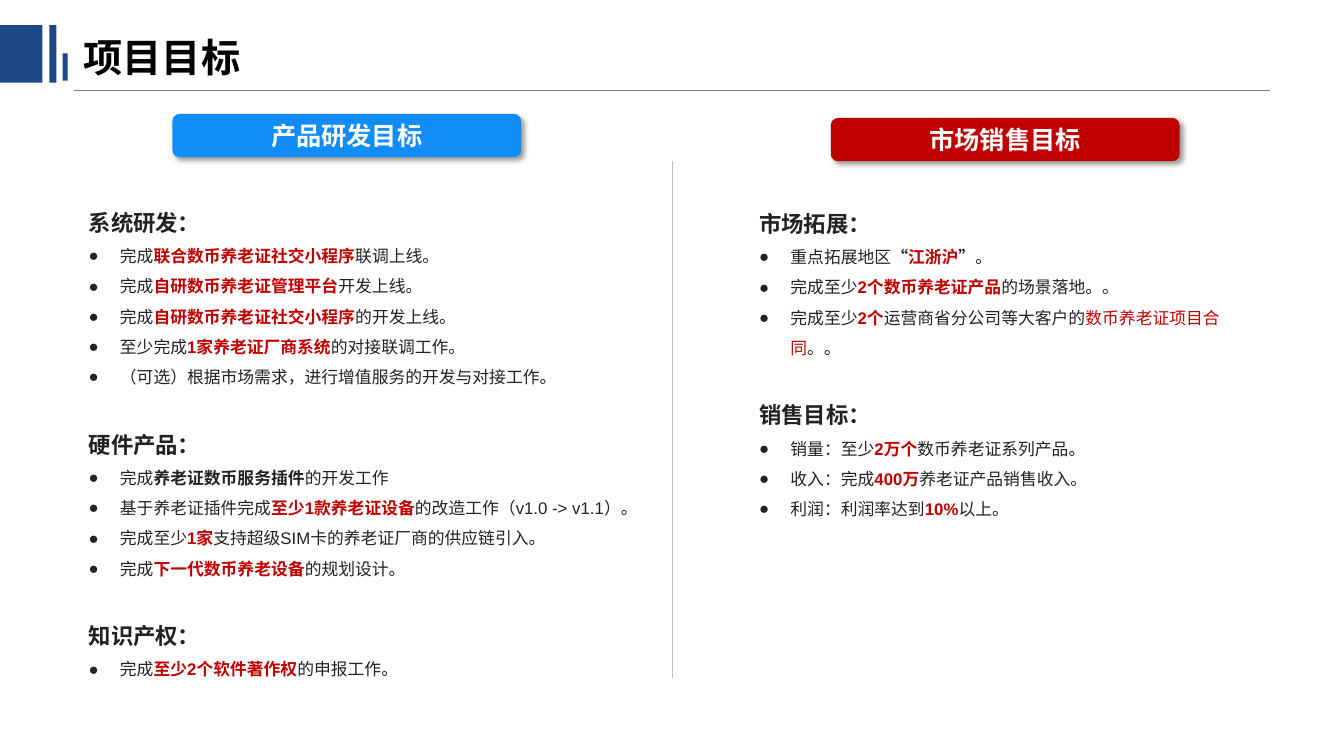
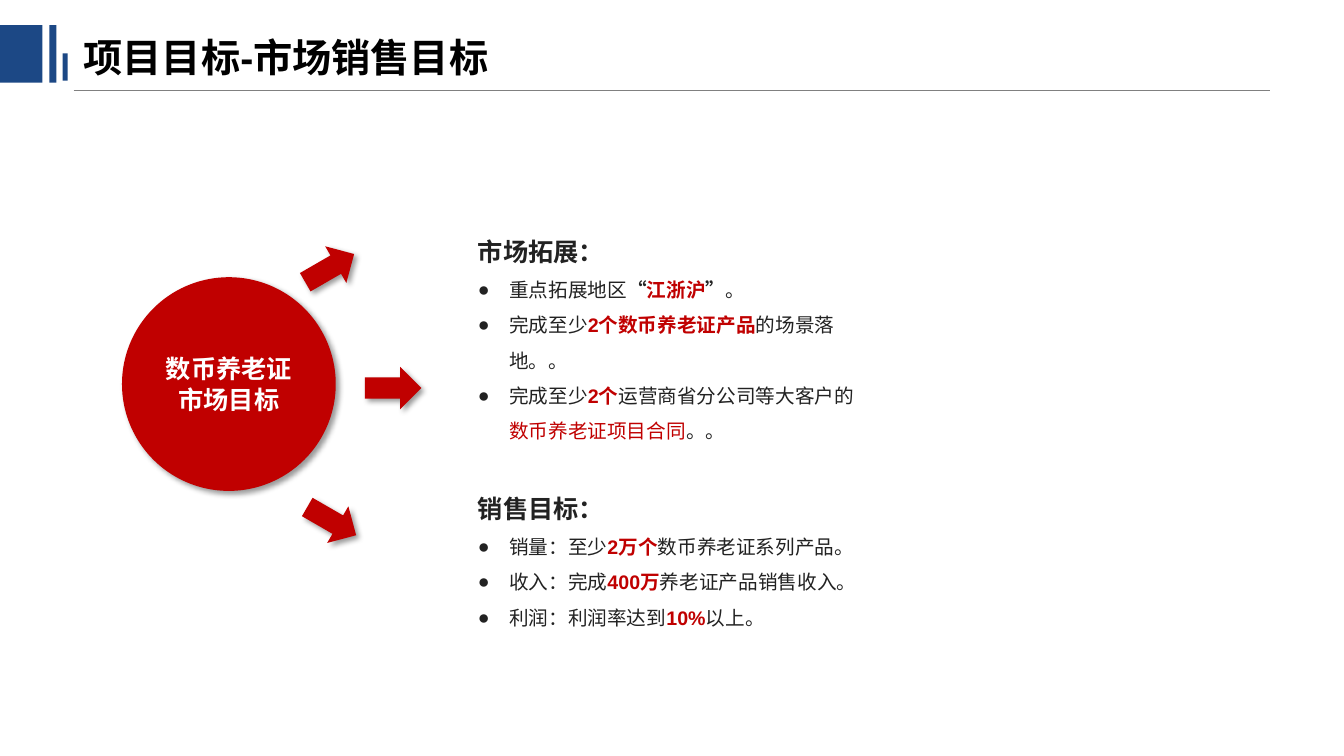
from dataclasses import dataclass
from typing import Any, NamedTuple

import pptx
import pptx.dml.color
import pptx.enum.lang
import pptx.enum.shapes
import pptx.enum.text
import pptx.oxml
import pptx.oxml.ns
import pptx.util

Inches = pptx.util.Inches
SHAPE = pptx.enum.shapes.MSO_SHAPE
ALIGN = pptx.enum.text.PP_ALIGN
ANCHOR = pptx.enum.text.MSO_ANCHOR

# Shared look
NAVY, BLUE, RED = "1C4885", "128CF6", "C00000"
BLACK, INK, WHITE = "000000", "222222", "FFFFFF"
RULE_GREY, DIVIDER_GREY = "808080", "BFBFBF"
BODY_FONT, HEADING_FONT = "Arial", "Noto Sans CJK SC"
BULLET_INDENT = 0.31
LINE_SPACING = 1.5
SECTION_GAP = 1.8  # one spaced line of body text, in multiples of its size


class Box(NamedTuple):
    left: float
    top: float
    width: float
    height: float


class Span(NamedTuple):
    text: str
    color: str = INK
    bold: bool = False
    font: str = BODY_FONT


@dataclass
class Section:
    heading: str
    items: list[list[Span]]


@dataclass
class Banner:
    text: str
    box: Box
    color: str


@dataclass
class Arrow:
    left: float
    top: float
    angle: float


def hot(text: str) -> Span:
    return Span(text, RED, True)


def quote_mark(text: str) -> Span:
    return Span(text, INK, True, HEADING_FONT)


# Content
DEVELOPMENT = [
    Section("系统研发：", [
        [Span("完成"), hot("联合数币养老证社交小程序"), Span("联调上线。")],
        [Span("完成"), hot("自研数币养老证管理平台"), Span("开发上线。")],
        [Span("完成"), hot("自研数币养老证社交小程序"), Span("的开发上线。")],
        [Span("至少完成"), hot("1家养老证厂商系统"), Span("的对接联调工作。")],
        [Span("（可选）根据市场需求，进行增值服务的开发与对接工作。")],
    ]),
    Section("硬件产品：", [
        [Span("完成"), Span("养老证数币服务插件", bold=True), Span("的开发工作")],
        [Span("基于养老证插件完成"), hot("至少1款养老证设备"),
         Span("的改造工作（v1.0 -> v1.1）。")],
        [Span("完成至少"), hot("1家"), Span("支持超级SIM卡的养老证厂商的供应链引入。")],
        [Span("完成"), hot("下一代数币养老设备"), Span("的规划设计。")],
    ]),
    Section("知识产权：", [
        [Span("完成"), hot("至少2个软件著作权"), Span("的申报工作。")],
    ]),
]
MARKET = [
    Section("市场拓展：", [
        [Span("重点拓展地区"), quote_mark("“"), hot("江浙沪"), quote_mark("”"), Span("。")],
        [Span("完成至少"), hot("2个数币养老证产品"), Span("的场景落地。。")],
        [Span("完成至少"), hot("2个"), Span("运营商省分公司等大客户的"),
         Span("数币养老证项目合同", RED), Span("。。")],
    ]),
    Section("销售目标：", [
        [Span("销量：至少"), hot("2万个"), Span("数币养老证系列产品。")],
        [Span("收入：完成"), hot("400万"), Span("养老证产品销售收入。")],
        [Span("利润：利润率达到"), hot("10%"), Span("以上。")],
    ]),
]
BANNERS = [
    Banner("产品研发目标", Box(1.71, 1.13, 3.46, 0.43), BLUE),
    Banner("市场销售目标", Box(8.24, 1.17, 3.46, 0.43), RED),
]
ACCENT_BARS = [Box(0, 0.25, 0.42, 0.57), Box(0.49, 0.25, 0.07, 0.57),
               Box(0.62, 0.53, 0.05, 0.27)]
ARROWS = [Arrow(2.99, 2.45, -30), Arrow(3.62, 3.64, 0), Arrow(3.01, 4.96, 30)]


def rgb(color: str) -> pptx.dml.color.RGBColor:
    return pptx.dml.color.RGBColor.from_string(color)


def add_element(parent: Any, xml: str) -> None:
    namespace = pptx.oxml.ns.nsdecls("a")
    parent.append(pptx.oxml.parse_xml(xml.replace(" ", f" {namespace} ", 1)))


def place(shape: Any, box: Box) -> None:
    shape.left, shape.top, shape.width, shape.height = map(Inches, box)


def write(frame: Any, spans: list[Span], *, size: float, align: Any = ALIGN.LEFT,
          bullet: bool = False, line_spacing: float = 1, space_before: float = 0) -> None:
    """Add one paragraph, using the empty first one if there is one."""
    paragraph = frame.paragraphs[0]
    if paragraph.runs:
        paragraph = frame.add_paragraph()
    properties = paragraph._p.get_or_add_pPr()
    indent = Inches(BULLET_INDENT) if bullet else 0
    properties.set("marL", str(indent))
    properties.set("indent", str(-indent))
    add_element(properties, '<a:buChar char="●"/>' if bullet else "<a:buNone />")
    paragraph.alignment = align
    paragraph.line_spacing = line_spacing
    paragraph.space_before = pptx.util.Pt(space_before)
    paragraph.space_after = pptx.util.Pt(0)
    for span in spans:
        run = paragraph.add_run()
        run.text = span.text
        run.font.size = pptx.util.Pt(size)
        run.font.bold = span.bold
        run.font.color.rgb = rgb(span.color)
        run.font.name = span.font
        run.font.language_id = pptx.enum.lang.MSO_LANGUAGE_ID.SIMPLIFIED_CHINESE
        add_element(run._r.get_or_add_rPr(), f'<a:ea typeface="{span.font}"/>')


def add_block(slide: Any, kind: Any, box: Box, color: str, *, shadow: bool = False) -> Any:
    block = slide.shapes.add_shape(kind, *map(Inches, box))
    block.fill.solid()
    block.fill.fore_color.rgb = rgb(color)
    block.line.fill.background()
    block.shadow.inherit = False
    if shadow:
        effects = block._element.spPr.find(pptx.oxml.ns.qn("a:effectLst"))
        add_element(effects, (
            f'<a:outerShdw blurRad="{pptx.util.Pt(4)}" dist="{pptx.util.Pt(3)}" '
            'dir="2700000" algn="tl" rotWithShape="0"><a:srgbClr val="000000">'
            '<a:alpha val="40000"/></a:srgbClr></a:outerShdw>'))
    return block


def add_label(block: Any, lines: list[str]) -> None:
    frame = block.text_frame
    frame.vertical_anchor = ANCHOR.MIDDLE
    for line in lines:
        write(frame, [Span(line, WHITE, True)], size=18, align=ALIGN.CENTER)


def add_rule(slide: Any, start: tuple[float, float], end: tuple[float, float],
             color: str) -> None:
    rule = slide.shapes.add_connector(pptx.enum.shapes.MSO_CONNECTOR.STRAIGHT,
                                      *map(Inches, start + end))
    rule.line.color.rgb = rgb(color)
    rule.line.width = pptx.util.Pt(0.25)
    add_element(rule._element.spPr, "<a:effectLst />")


def add_page(deck: Any, layout: int, title: str) -> Any:
    """Start a slide with the title, header rule and accent bars."""
    slide = deck.slides.add_slide(deck.slide_layouts[layout])
    add_rule(slide, (0.73, 0.89), (12.6, 0.89), RULE_GREY)
    for bar in ACCENT_BARS:
        add_block(slide, SHAPE.RECTANGLE, bar, NAVY)
    heading = slide.shapes.title
    place(heading, Box(0.73, 0.22, 9.6, 0.68))
    heading.text_frame.auto_size = pptx.enum.text.MSO_AUTO_SIZE.NONE
    heading.text_frame.vertical_anchor = ANCHOR.MIDDLE
    write(heading.text_frame, [Span(title, BLACK, True)], size=28)
    return slide


def fill_goals(body: Any, box: Box, sections: list[Section], size: float) -> None:
    place(body, box)
    frame = body.text_frame
    frame.word_wrap = True
    frame.auto_size = pptx.enum.text.MSO_AUTO_SIZE.NONE
    frame.vertical_anchor = ANCHOR.TOP
    for number, section in enumerate(sections):
        write(frame, [Span(section.heading, INK, True, HEADING_FONT)], size=size + 4,
              line_spacing=LINE_SPACING,
              space_before=round(size * SECTION_GAP, 1) if number else 0)
        for item in section.items:
            write(frame, item, size=size, bullet=True, line_spacing=LINE_SPACING)


def build_goals(deck: Any) -> None:
    slide = add_page(deck, 3, "项目目标")
    fill_goals(slide.placeholders[1], Box(0.78, 1.89, 5.56, 5.01), DEVELOPMENT, 12)
    fill_goals(slide.placeholders[2], Box(7.43, 1.9, 5.09, 3.3), MARKET, 12)
    for banner in BANNERS:
        block = add_block(slide, SHAPE.ROUNDED_RECTANGLE, banner.box, banner.color, shadow=True)
        add_label(block, [banner.text])
    add_rule(slide, (6.67, 1.6), (6.67, 6.73), DIVIDER_GREY)


def build_market_goals(deck: Any) -> None:
    slide = add_page(deck, 1, "项目目标-市场销售目标")
    hub = add_block(slide, SHAPE.OVAL, Box(1.21, 2.75, 2.12, 2.12), RED, shadow=True)
    add_label(hub, ["数币养老证", "市场目标"])
    for arrow in ARROWS:
        pointer = add_block(slide, SHAPE.RIGHT_ARROW, Box(arrow.left, arrow.top, 0.56, 0.42),
                            RED, shadow=True)
        pointer.rotation = arrow.angle
    fill_goals(slide.placeholders[1], Box(4.64, 2.14, 4.11, 4.15), MARKET, 14)


def main() -> None:
    deck = pptx.Presentation()
    deck.slide_width, deck.slide_height = Inches(13.33), Inches(7.5)
    build_goals(deck)
    build_market_goals(deck)
    deck.save("out.pptx")


if __name__ == "__main__":
    main()
